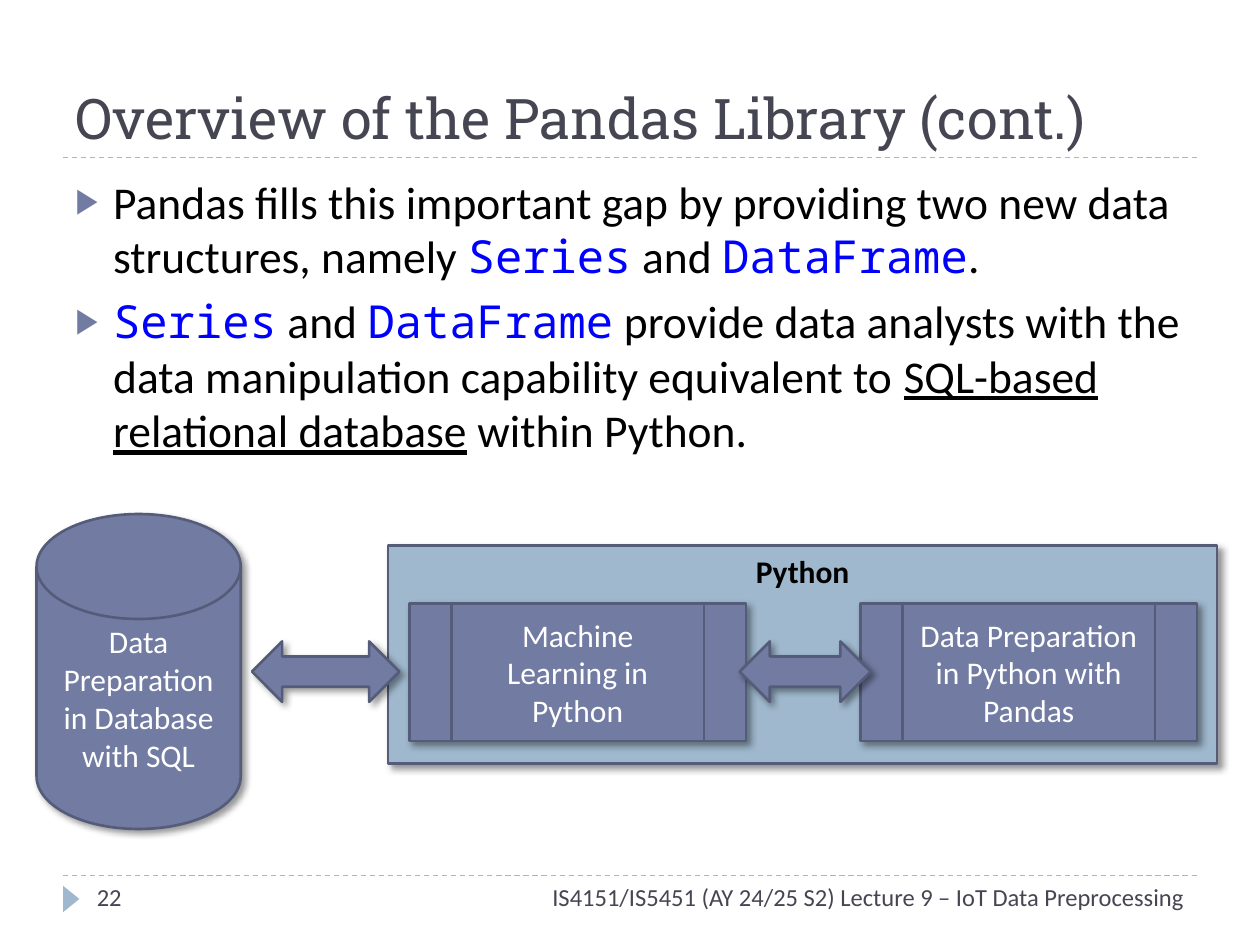
from lxml.etree import SubElement
from pptx import Presentation
from pptx.dml.color import RGBColor
from pptx.enum.dml import MSO_LINE
from pptx.enum.shapes import MSO_CONNECTOR, MSO_SHAPE as Shape
from pptx.enum.text import MSO_ANCHOR as Anchor, MSO_AUTO_SIZE as AutoSize, PP_ALIGN as Align
from pptx.oxml.ns import qn
from pptx.util import Inches, Pt

INDIGO, SKY, EDGE, SLATE = "727CA3", "9FB8CD", "545C79", "464653"
BLACK, WHITE, BLUE = "000000", "FFFFFF", "0000FF"

SERIES = ("Series", "code")
FRAME = ("DataFrame", "code")
BULLETS = [
    [("Pandas fills this important gap by providing two new data structures, namely ", ""),
     SERIES, (" and ", ""), FRAME, (".", "")],
    [SERIES, (" and ", ""), FRAME,
     (" provide data analysts with the data manipulation capability equivalent to ", ""),
     ("SQL-based relational database", "underline"), (" within Python.", "")],
]


def color(value):
    """Turn a hex string into a colour."""
    return RGBColor.from_string(value)


def set_font(font, size, value, name="Calibri"):
    """Set the typeface, size and colour of a font."""
    font.name, font.size = name, Pt(size)
    font.color.rgb = color(value)


def add_effect(parent, tag, **attributes):
    """Append a drawing element to its parent."""
    return SubElement(parent, qn(tag), attributes)


def add_shadow(shape):
    """Give a shape a soft shadow to the lower right."""
    shape.shadow.inherit = False
    effects = shape._element.spPr.find(qn("a:effectLst"))
    outer = add_effect(effects, "a:outerShdw", blurRad=str(Pt(4)), dist=str(Pt(3)),
                       dir="2700000", algn="tl", rotWithShape="0")
    add_effect(add_effect(outer, "a:srgbClr", val=BLACK), "a:alpha", val="40000")


def add_block(page, kind, bounds, label="", fill=INDIGO, ink=WHITE, anchor=Anchor.MIDDLE, bold=False):
    """Add a filled, outlined and shadowed diagram shape."""
    block = page.shapes.add_shape(kind, *map(Inches, bounds))
    block.fill.solid()
    block.fill.fore_color.rgb = color(fill)
    block.line.color.rgb = color(EDGE)
    block.line.width = Pt(1.5)
    add_shadow(block)
    if label:
        frame = block.text_frame
        frame.word_wrap, frame.vertical_anchor = True, anchor
        para = frame.paragraphs[0]
        para.text, para.alignment = label, Align.CENTER
        set_font(para.font, 18, ink)
        para.font.bold = bold


def add_rule(page, top):
    """Add a dashed rule across the page."""
    rule = page.shapes.add_connector(
        MSO_CONNECTOR.STRAIGHT, Inches(0.5), Inches(top), Inches(9.5), Inches(top))
    rule.line.color.rgb = color(SKY)
    rule.line.width = Pt(0.75)
    rule.line.dash_style = MSO_LINE.DASH
    add_effect(rule._element.spPr, "a:effectLst")


def add_footer_text(page, bounds, text, alignment):
    """Add one line of footer text."""
    box = page.shapes.add_textbox(*map(Inches, bounds))
    box.text_frame.word_wrap = True
    para = box.text_frame.paragraphs[0]
    para.text, para.alignment = text, alignment
    set_font(para.font, 14, SLATE)


def add_footer(page):
    """Add the footer marker, page number and course line."""
    marker = page.shapes.add_shape(Shape.ISOSCELES_TRIANGLE, *map(Inches, (0.46, 7.07, 0.21, 0.13)))
    marker.rotation = 90
    marker.fill.solid()
    marker.fill.fore_color.rgb = color(SKY)
    marker.line.fill.background()
    marker.shadow.inherit = False
    add_footer_text(page, (1.33, 6.95, 8.17, 0.4),
                    "IS4151/IS5451 (AY 24/25 S2) Lecture 9 – IoT Data Preprocessing", Align.RIGHT)
    add_footer_text(page, (0.67, 6.95, 2.17, 0.4), "22", Align.LEFT)


def set_title(page, text):
    """Place and format the title."""
    title = page.shapes.title
    title.left, title.top, title.width, title.height = map(Inches, (0.5, 0.17, 9, 1.08))
    frame = title.text_frame
    frame.text, frame.vertical_anchor, frame.auto_size = text, Anchor.BOTTOM, AutoSize.NONE
    para = frame.paragraphs[0]
    para.alignment = Align.LEFT
    set_font(para.font, 32, SLATE, "Roboto Slab")


def add_bullet(para):
    """Give a paragraph a triangle bullet and a hanging indent."""
    properties = para._p.get_or_add_pPr()
    properties.set("marL", str(Inches(0.3)))
    properties.set("indent", str(Inches(-0.3)))
    add_effect(add_effect(properties, "a:buClr"), "a:srgbClr", val=INDIGO)
    add_effect(properties, "a:buSzPct", val="76000")
    add_effect(properties, "a:buFont", typeface="Calibri")
    add_effect(properties, "a:buChar", char="▶")


def add_body(page):
    """Add the bulleted text with its code and underlined words."""
    box = page.shapes.add_textbox(*map(Inches, (0.5, 1.33, 9, 5.4)))
    frame = box.text_frame
    frame.word_wrap = True
    for index, spans in enumerate(BULLETS):
        para = frame.add_paragraph() if index else frame.paragraphs[0]
        add_bullet(para)
        if index:
            para.space_before = Pt(6)
        for text, style in spans:
            span = para.add_run()
            span.text = text
            if style == "code":
                set_font(span.font, 26, BLUE, "Noto Sans Mono")
            else:
                set_font(span.font, 26, BLACK)
            if style == "underline":
                span.font.underline = True


def add_diagram(page):
    """Add the database, the Python modules and the arrows between them."""
    add_block(page, Shape.FLOWCHART_MAGNETIC_DISK, (0.29, 4.08, 1.62, 2.5),
              "Data Preparation in Database with SQL")
    modules = [(3.25, "Machine Learning in Python"), (6.83, "Data Preparation in Python with Pandas")]
    for left, label in modules:
        add_block(page, Shape.FLOWCHART_PREDEFINED_PROCESS, (left, 4.79, 2.67, 1.09), label)
    for left, width in [(2, 1.17), (5.87, 1.04)]:
        add_block(page, Shape.LEFT_RIGHT_ARROW, (left, 5.09, width, 0.48))


def main():
    """Build and save the slide."""
    deck = Presentation()
    deck.slide_width, deck.slide_height = Inches(10), Inches(7.5)
    page = deck.slides.add_slide(deck.slide_layouts[5])
    for top in (6.95, 1.25):
        add_rule(page, top)
    add_block(page, Shape.RECTANGLE, (3.08, 4.33, 6.58, 1.73), "Python", SKY, BLACK, Anchor.TOP, True)
    set_title(page, "Overview of the Pandas Library (cont.)")
    add_footer(page)
    add_body(page)
    add_diagram(page)
    deck.save("out.pptx")


if __name__ == "__main__":
    main()
